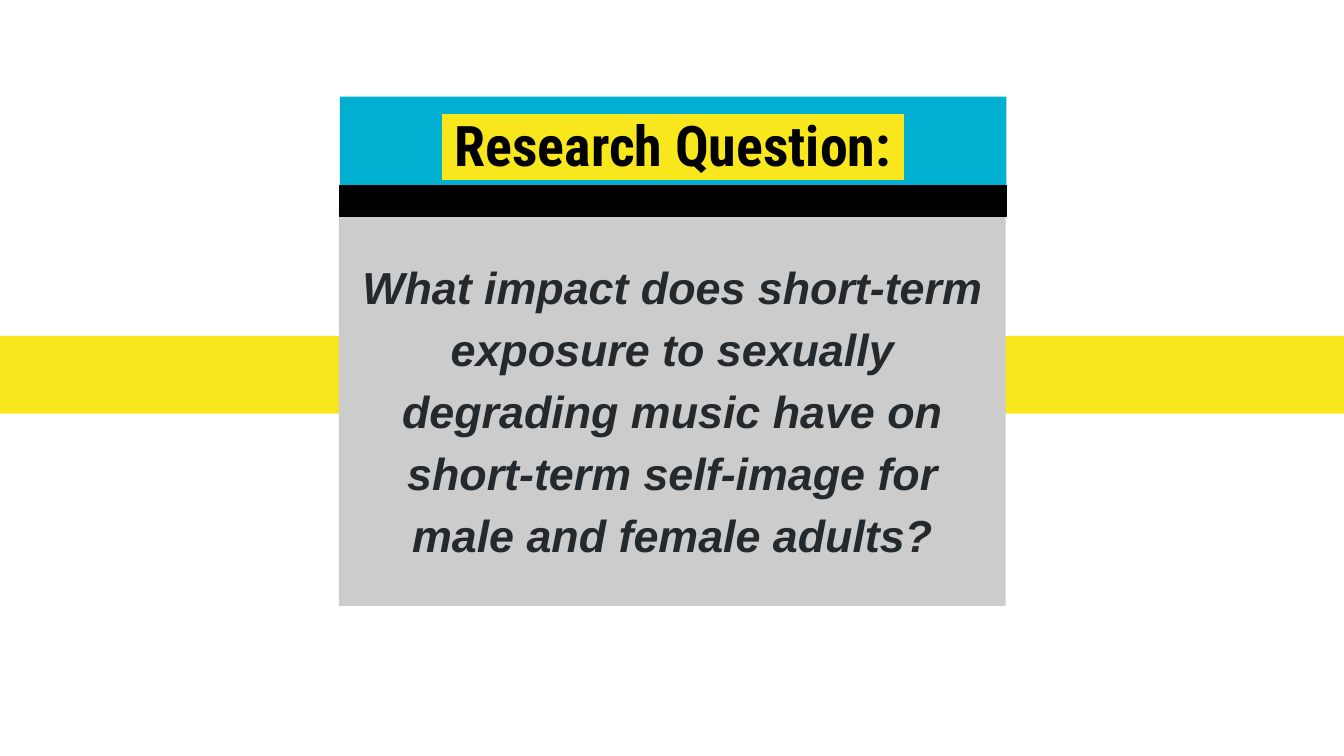
from lxml.etree import SubElement
from pptx import Presentation
from pptx.dml.color import RGBColor
from pptx.enum.shapes import MSO_SHAPE as Shape
from pptx.enum.text import MSO_ANCHOR as Anchor, MSO_AUTO_SIZE as AutoSize, PP_ALIGN as Align
from pptx.oxml.ns import qn
from pptx.util import Pt

YELLOW, CYAN, GREY, BLACK, INK = "F8E71C", "01AFD1", "CCCCCC", "000000", "24292E"
CARD_LEFT, CARD_WIDTH = 182, 357.1
INSET = 7.2


def paint(target, color):
    """Give a fill a solid hex colour."""
    target.solid()
    target.fore_color.rgb = RGBColor.from_string(color)


def add_text(paragraph, text, *, font, size, color, highlight, bold=False, italic=False):
    """Append a formatted, highlighted run to a paragraph."""
    run = paragraph.add_run()
    run.text = text
    run.font.size = Pt(size)
    run.font.bold, run.font.italic = bold, italic
    paint(run.font.fill, color)
    properties = run.font._element
    mark = SubElement(properties, qn("a:highlight"))
    SubElement(mark, qn("a:srgbClr"), val=highlight)
    run.font.name = font


def add_bar(slide, left, top, width, height, color):
    """Add a flat rectangle and return it."""
    bar = slide.shapes.add_shape(Shape.RECTANGLE, Pt(left), Pt(top), Pt(width), Pt(height))
    bar.shadow.inherit = False
    paint(bar.fill, color)
    bar.line.fill.background()
    return bar


def place_panel(shape, left, top, height, color, anchor):
    """Position a filled placeholder and return its centred paragraph."""
    shape.left, shape.top = Pt(left), Pt(top)
    shape.width, shape.height = Pt(CARD_WIDTH), Pt(height)
    paint(shape.fill, color)
    frame = shape.text_frame
    frame.word_wrap = True
    frame.auto_size = AutoSize.NONE
    frame.vertical_anchor = anchor
    frame.margin_left = frame.margin_right = Pt(INSET)
    frame.margin_top = frame.margin_bottom = Pt(INSET)
    paragraph = frame.paragraphs[0]
    paragraph.alignment = Align.CENTER
    paragraph.space_before = Pt(0)
    return paragraph


def main():
    """Build and save the research question slide."""
    presentation = Presentation()
    presentation.slide_width, presentation.slide_height = Pt(720), Pt(405)
    slide = presentation.slides.add_slide(presentation.slide_layouts[0])
    title, subtitle = slide.placeholders

    band = add_bar(slide, 0, 180, 720, 41.6, YELLOW)
    title._element.addprevious(band._element)

    heading = place_panel(title, CARD_LEFT, 51.8, 48.2, CYAN, Anchor.TOP)
    for text, bold in ((" ", False), ("Research Question:", True), (" ", False)):
        add_text(heading, text, font="Roboto Condensed", size=30, color=BLACK,
                 highlight=YELLOW, bold=bold)

    question = place_panel(subtitle, CARD_LEFT - 0.4, 110.9, 213.8, GREY, Anchor.MIDDLE)
    question.line_spacing = 1.15
    question.space_after = Pt(16)
    add_text(question, "What impact does short-term exposure to sexually degrading music "
             "have on short-term self-image for male and female adults?",
             font="Arial", size=24, color=INK, highlight=GREY, bold=True, italic=True)

    divider = add_bar(slide, CARD_LEFT, 99.4, CARD_WIDTH, 16.6, BLACK)
    paint(divider.line.fill, BLACK)
    divider.line.width = Pt(0.75)

    presentation.save("out.pptx")


if __name__ == "__main__":
    main()
